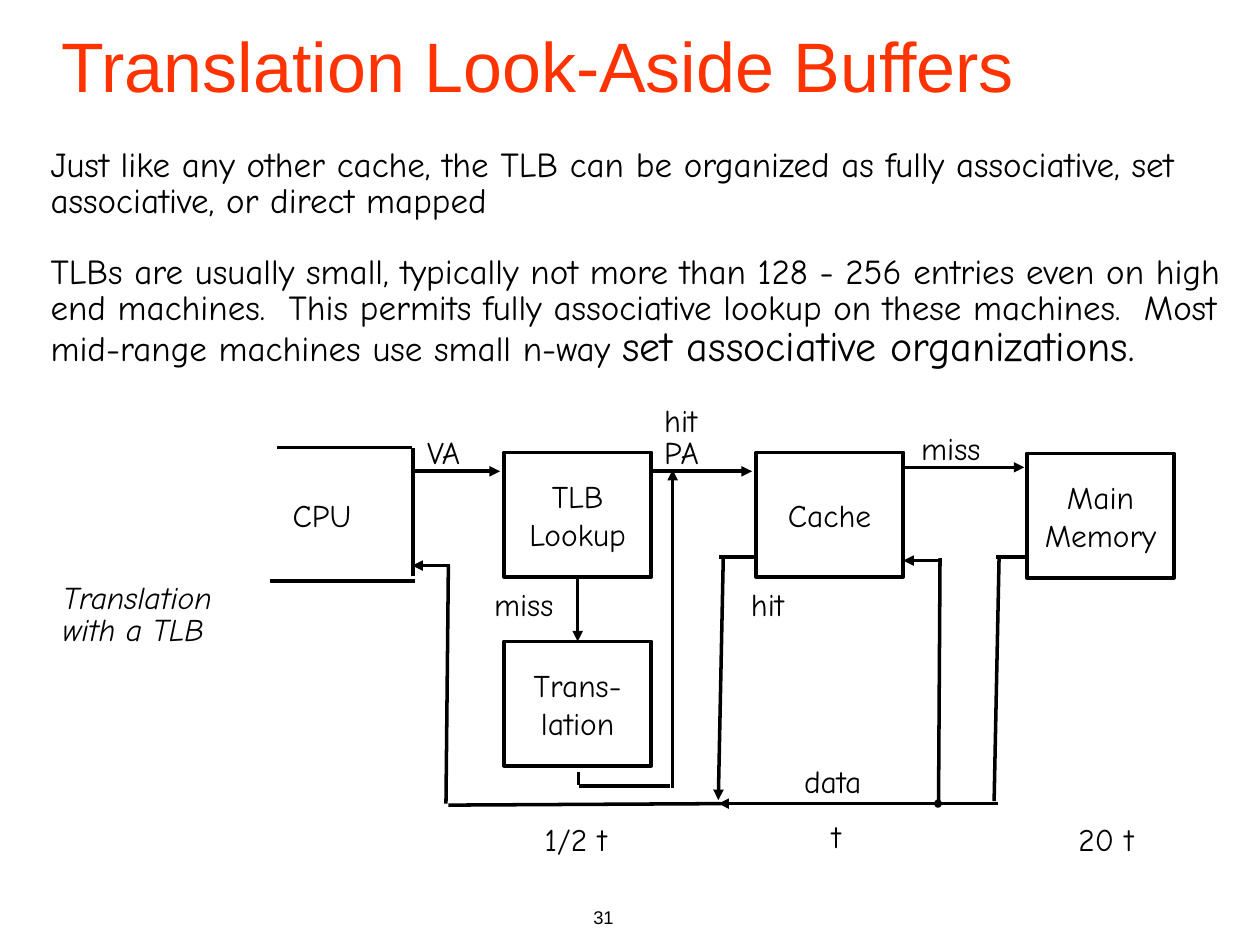
"""Build the slide on translation look-aside buffers with its lookup diagram."""
from lxml.etree import SubElement
from pptx import Presentation
from pptx.dml.color import RGBColor
from pptx.enum.shapes import MSO_CONNECTOR, MSO_SHAPE
from pptx.enum.text import MSO_ANCHOR, PP_ALIGN
from pptx.oxml.ns import qn
from pptx.util import Cm, Pt

COLORS = {"title": "FF3300", "ink": "000000", "junction": "E1F4FF"}
TITLE_FONT, BODY_FONT = "Arial", "Comic Neue"
WIDE_INSETS, TIGHT_INSETS = (0.25, 0.13), (0.18, 0.08)

BODY = [
    [("Just like any other cache, the TLB can be organized as fully associative, "
      "set associative, or direct mapped", 20)],
    [("TLBs are usually small, typically not more than 128 - 256 entries even on high "
      "end machines.  This permits fully associative lookup on these machines.  Most "
      "mid-range machines use small n-way ", 20),
     ("set associative organizations.", 24)],
]

BOX_SIZE = (2.97, 2.51)
BOXES = {
    "lookup": ("TLB\nLookup", 10.16, 9.12),
    "cache": ("Cache", 15.24, 9.12),
    "memory": ("Main\nMemory", 20.7, 9.14),
    "translation": ("Trans-\nlation", 10.16, 12.93),
}

LABELS = [
    ("CPU", 5.72, 10.03, 1.55),
    ("VA", 8.43, 8.76, 1.24),
    ("PA", 13.21, 8.76, 1.14),
    ("hit", 13.21, 8.13, 1.19),
    ("miss", 18.39, 8.69, 1.65),
    ("hit", 14.96, 11.84, 1.19),
    ("miss", 9.78, 11.84, 1.65),
    ("data", 16.03, 15.39, 1.73),
    ("1/2 t", 10.8, 16.56, 2.03),
    ("t", 16.59, 16.51, 0.66),
    ("20 t", 21.56, 16.56, 1.7),
]

LINES = [
    (5.59, 9.02, 8.31, 9.02),
    (8.33, 9.04, 8.33, 11.61),
    (8.36, 11.71, 5.44, 11.71),
    (20.7, 11.23, 20.07, 11.23),
    (20.14, 11.25, 20.04, 16.15),
    (14.53, 16.2, 9.04, 16.23),
    (8.99, 16.2, 9.04, 11.38),
    (18.92, 16.13, 18.95, 11.25),
    (15.24, 11.23, 14.5, 11.23),
    (11.66, 15.57, 11.66, 15.82),
    (11.68, 15.85, 13.51, 15.85),
]

ARROWS = [
    (8.36, 9.5, 10.08, 9.5),
    (13.13, 9.5, 15.16, 9.5),
    (18.24, 9.42, 20.65, 9.42),
    (9.07, 11.4, 8.31, 11.4),
    (18.97, 11.3, 18.21, 11.3),
    (14.58, 11.25, 14.48, 16.13),
    (13.56, 15.88, 13.56, 9.47),
    (20.12, 16.2, 14.48, 16.2),
]


def color(name):
    return RGBColor.from_string(COLORS[name])


def style_runs(paragraph, font, size, ink="ink", italic=False):
    for run in paragraph.runs:
        run.font.name = font
        run.font.size = Pt(size)
        run.font.italic = italic
        run.font.color.rgb = color(ink)


def set_frame(text_frame, insets, wrap=True, anchor=MSO_ANCHOR.TOP):
    text_frame.margin_left = text_frame.margin_right = Cm(insets[0])
    text_frame.margin_top = text_frame.margin_bottom = Cm(insets[1])
    text_frame.word_wrap = wrap
    text_frame.vertical_anchor = anchor


def add_text(slide, text, left, top, width, height, font=BODY_FONT, size=18, ink="ink",
             italic=False, spacing=0.85, align=PP_ALIGN.LEFT, insets=TIGHT_INSETS,
             wrap=False, anchor=MSO_ANCHOR.TOP):
    shape = slide.shapes.add_textbox(Cm(left), Cm(top), Cm(width), Cm(height))
    set_frame(shape.text_frame, insets, wrap, anchor)
    shape.text_frame.text = text
    for paragraph in shape.text_frame.paragraphs:
        paragraph.line_spacing = spacing
        paragraph.alignment = align
        style_runs(paragraph, font, size, ink, italic)


def add_body(slide):
    shape = slide.shapes.add_textbox(Cm(0.84), Cm(2.92), Cm(24.56), Cm(5.51))
    text_frame = shape.text_frame
    set_frame(text_frame, TIGHT_INSETS)
    for index, parts in enumerate(BODY):
        paragraph = text_frame.add_paragraph() if index else text_frame.paragraphs[0]
        paragraph.line_spacing = 0.85
        paragraph.space_before = Pt(20.4 if index else 0)
        for text, size in parts:
            run = paragraph.add_run()
            run.text = text
            run.font.name = BODY_FONT
            run.font.size = Pt(size)
            run.font.color.rgb = color("ink")


def outline(shape):
    shape.line.color.rgb = color("ink")
    shape.line.width = Pt(2)


def add_box(slide, text, left, top):
    width, height = BOX_SIZE
    shape = slide.shapes.add_shape(MSO_SHAPE.RECTANGLE, Cm(left), Cm(top), Cm(width), Cm(height))
    shape.shadow.inherit = False
    shape.fill.background()
    outline(shape)
    set_frame(shape.text_frame, WIDE_INSETS, False, MSO_ANCHOR.MIDDLE)
    shape.text_frame.text = text
    for paragraph in shape.text_frame.paragraphs:
        paragraph.alignment = PP_ALIGN.CENTER
        style_runs(paragraph, BODY_FONT, 18)
    return shape


def add_line(slide, points, arrow=False):
    connector = slide.shapes.add_connector(MSO_CONNECTOR.STRAIGHT, *map(Cm, points))
    outline(connector)
    if arrow:
        SubElement(connector.line._get_or_add_ln(), qn("a:tailEnd"), type="triangle")
    SubElement(connector._element.spPr, qn("a:effectLst"))
    return connector


def add_junction(slide):
    shape = slide.shapes.add_shape(MSO_SHAPE.OVAL, Cm(18.87), Cm(16.15), Cm(0.08), Cm(0.1))
    shape.shadow.inherit = False
    shape.fill.solid()
    shape.fill.fore_color.rgb = color("junction")
    outline(shape)


def main():
    presentation = Presentation()
    presentation.slide_width, presentation.slide_height = Cm(25.4), Cm(19.05)
    slide = presentation.slides.add_slide(presentation.slide_layouts[6])

    add_text(slide, "31", 7.34, 18.14, 5.28, 0.9, font=TITLE_FONT, size=10.5, spacing=1,
             align=PP_ALIGN.RIGHT, insets=WIDE_INSETS, wrap=True)
    add_text(slide, "Translation Look-Aside Buffers", 0.99, 0, 23.57, 2.59, font=TITLE_FONT,
             size=40, ink="title", spacing=1, insets=WIDE_INSETS, wrap=True,
             anchor=MSO_ANCHOR.MIDDLE)
    add_body(slide)

    boxes = {name: add_box(slide, *box) for name, box in BOXES.items()}
    for points in LINES:
        add_line(slide, points)
    for points in ARROWS:
        add_line(slide, points, arrow=True)
    miss_arrow = add_line(slide, (11.64, 11.63, 11.64, 12.93), arrow=True)
    miss_arrow.begin_connect(boxes["lookup"], 2)
    miss_arrow.end_connect(boxes["translation"], 0)
    add_junction(slide)

    for text, left, top, width in LABELS:
        add_text(slide, text, left, top, width, 0.79)
    add_text(slide, "Translation\nwith a TLB", 1.09, 11.68, 3.76, 1.45, italic=True)

    presentation.save("out.pptx")


if __name__ == "__main__":
    main()
